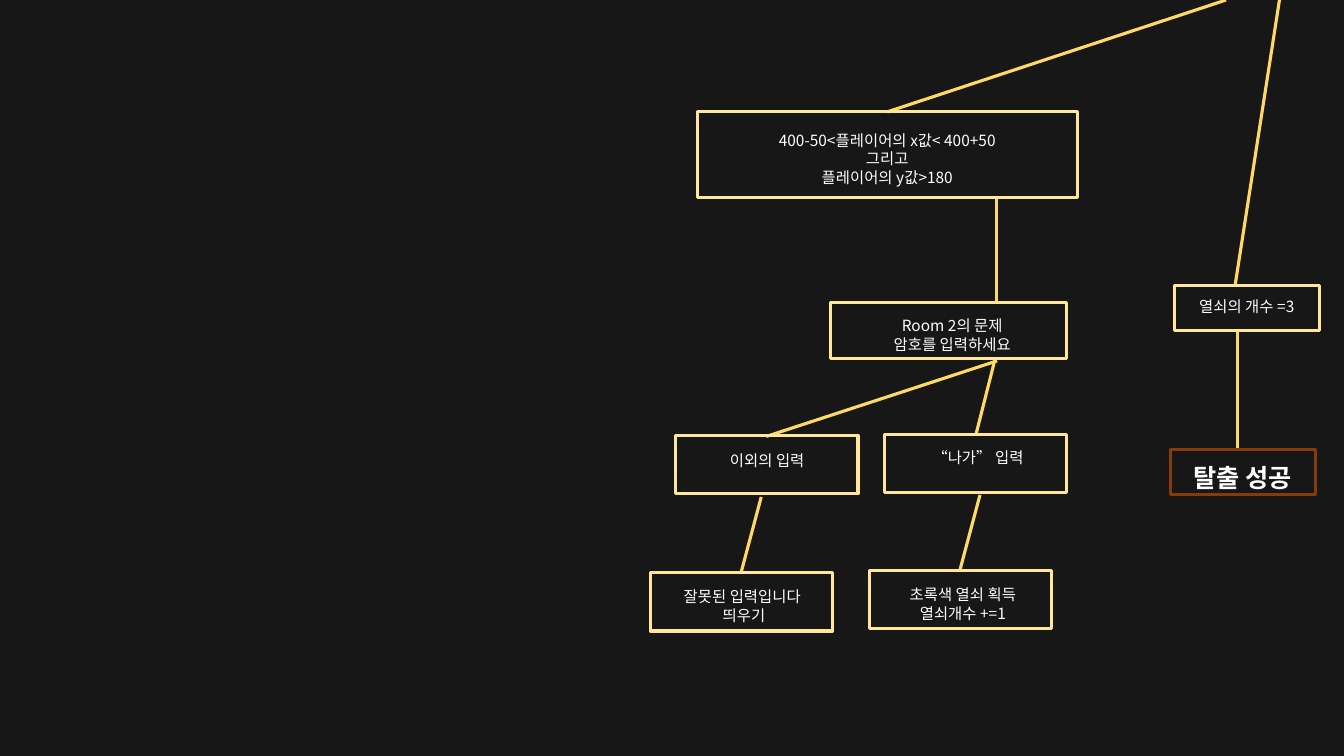
from lxml import etree
from pptx import Presentation
from pptx.dml.color import RGBColor
from pptx.enum.shapes import MSO_CONNECTOR, MSO_SHAPE
from pptx.enum.text import MSO_AUTO_SIZE, PP_ALIGN
from pptx.oxml.ns import qn
from pptx.util import Inches, Pt

COLORS = {
    "background": "181717",
    "branch": "FFD966",
    "step": "FFE699",
    "ending": "843C0B",
    "text": "FFFFFF",
}
FONT = "Noto Sans CJK KR"
COLUMNS, ROWS = 1333, 750
SLIDE_W, SLIDE_H = Inches(13.33), Inches(7.5)
OUTLINE = Pt(2.25)
LEAF = (181, 58)
EXIT = (144, 45)


def col(count):
    return round(SLIDE_W * count / COLUMNS)


def row(count):
    return round(SLIDE_H * count / ROWS)


def color(key):
    return RGBColor.from_string(COLORS[key])


def draw_branch(slide, region, start, end):
    left, top = region
    branch = slide.shapes.add_connector(
        MSO_CONNECTOR.STRAIGHT,
        col(left + start[0]), row(top + start[1]),
        col(left + end[0]), row(top + end[1]),
    )
    branch.line.color.rgb = color("branch")
    branch.line.width = OUTLINE
    etree.SubElement(branch._element.spPr, qn("a:effectLst"))


def write_line(paragraph, words, size, bold):
    paragraph.text = words
    paragraph.alignment = PP_ALIGN.CENTER
    font = paragraph.font
    font.size = Pt(size)
    font.bold = bold
    font.color.rgb = color("text")
    font.name = FONT
    etree.SubElement(font._element, qn("a:ea"), typeface=FONT)


def draw_step(slide, region, place, size, label, lines,
              outline="step", points=11, bold=False):
    left, top = region[0] + place[0], region[1] + place[1]
    group = slide.shapes.add_group_shape()
    frame = group.shapes.add_shape(
        MSO_SHAPE.RECTANGLE, col(left), row(top), col(size[0]), row(size[1]))
    frame.shadow.inherit = False
    frame.fill.background()
    frame.line.color.rgb = color(outline)
    frame.line.width = OUTLINE

    inset, drop, width, height = label
    caption = group.shapes.add_textbox(
        col(left + inset), row(top + drop), col(width), row(height)).text_frame
    caption.word_wrap = True
    caption.auto_size = MSO_AUTO_SIZE.SHAPE_TO_FIT_TEXT
    for index, words in enumerate(lines):
        paragraph = caption.paragraphs[0] if index == 0 else caption.add_paragraph()
        write_line(paragraph, words, points, bold)


def draw_room_tree(slide, region):
    branches = [
        ((571, 0), (235, 111)),
        ((343, 196), (343, 300)),
        ((342, 356), (323, 431)),
        ((344, 358), (115, 433)),
        ((327, 491), (307, 566)),
        ((110, 493), (90, 568)),
    ]
    steps = [
        ((47, 111), (377, 85), (10, 14, 356, 66),
         ["400-50<플레이어의 x값< 400+50", "그리고", "플레이어의 y값>180"]),
        ((179, 300), (234, 56), (7, 9, 227, 47),
         ["Room 2의 문제", "암호를 입력하세요"]),
        ((232, 431), LEAF, (5, 9, 176, 29), ["“나가” 입력"]),
        ((25, 432), LEAF, (3, 11, 176, 29), ["이외의 입력"]),
        ((217, 566), LEAF, (5, 10, 176, 47), ["초록색 열쇠 획득", "열쇠개수 +=1"]),
        ((0, 568), LEAF, (5, 10, 176, 47), ["잘못된 입력입니다 ", "띄우기"]),
    ]
    for start, end in branches:
        draw_branch(slide, region, start, end)
    for step in steps:
        draw_step(slide, region, *step)


def draw_escape_path(slide, region):
    draw_branch(slide, region, (108, 0), (64, 283))
    draw_step(slide, region, (4, 283), EXIT, (4, 7, 135, 29), ["열쇠의 개수 =3"])
    draw_branch(slide, region, (66, 328), (66, 445))
    draw_step(slide, region, (0, 446), EXIT, (4, 8, 135, 40), ["탈출 성공"],
              outline="ending", points=18, bold=True)


def main():
    deck = Presentation()
    deck.slide_width, deck.slide_height = SLIDE_W, SLIDE_H
    slide = deck.slides.add_slide(deck.slide_layouts[6])
    slide.background.fill.solid()
    slide.background.fill.fore_color.rgb = color("background")
    draw_room_tree(slide, (645, 0))
    draw_escape_path(slide, (1161, 0))
    deck.save("out.pptx")


if __name__ == "__main__":
    main()
